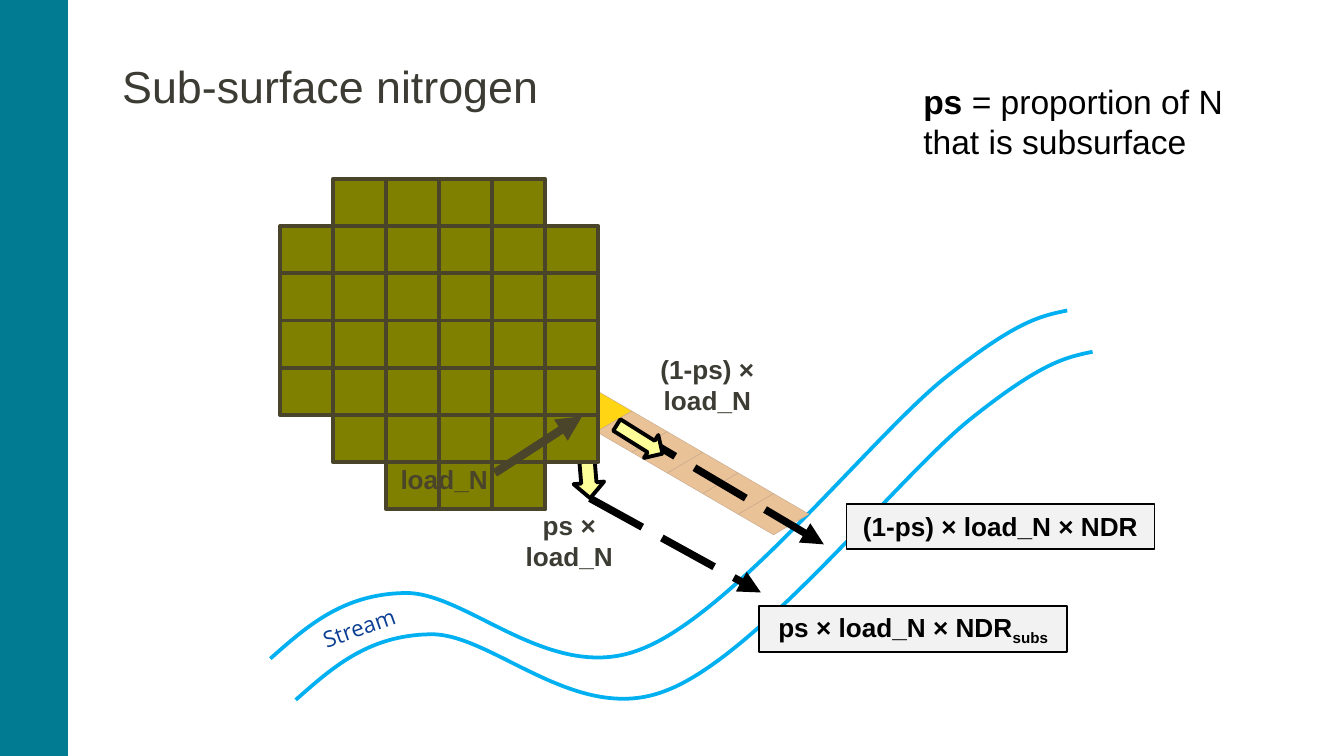
from lxml import etree
from pptx import Presentation
from pptx.dml.color import RGBColor
from pptx.enum.dml import MSO_LINE
from pptx.enum.shapes import MSO_CONNECTOR, MSO_SHAPE
from pptx.enum.text import MSO_ANCHOR, PP_ALIGN
from pptx.oxml.ns import qn
from pptx.util import Cm, Pt

RECTANGLE, DIAMOND, RIGHT_ARROW = MSO_SHAPE.RECTANGLE, MSO_SHAPE.DIAMOND, MSO_SHAPE.RIGHT_ARROW
STRAIGHT = MSO_CONNECTOR.STRAIGHT
LONG_DASH = MSO_LINE.LONG_DASH
LEFT, CENTER = PP_ALIGN.LEFT, PP_ALIGN.CENTER
TOP, MIDDLE, BOTTOM = MSO_ANCHOR.TOP, MSO_ANCHOR.MIDDLE, MSO_ANCHOR.BOTTOM

TEAL = RGBColor(0x00, 0x7B, 0x91)
CHARCOAL = RGBColor(0x3C, 0x3C, 0x34)
BLACK = RGBColor(0x00, 0x00, 0x00)
OLIVE = RGBColor(0x80, 0x80, 0x00)
BROWN = RGBColor(0x4A, 0x45, 0x2A)
TAN = RGBColor(0xEA, 0xC2, 0x98)
TAN_EDGE = RGBColor(0xC8, 0xAA, 0x8C)
GOLD = RGBColor(0xFF, 0xD5, 0x14)
PALE_YELLOW = RGBColor(0xFF, 0xFF, 0x99)
PALE_GRAY = RGBColor(0xF2, 0xF2, 0xF2)
SKY_BLUE = RGBColor(0x00, 0xB0, 0xF0)
NAVY = RGBColor(0x0B, 0x3F, 0x93)

FIELD_ROWS = [(1, 4), (0, 6), (0, 6), (0, 6), (0, 6), (1, 5), (2, 3)]
BANK_CURVE = [
    (0.69, -0.61), (1.37, -1.22), (2.54, -1.24),
    (3.71, -1.27), (5.31, 0.51), (7.01, -0.18),
    (8.74, -0.84), (11.43, -4.27), (12.78, -5.33),
    (14.12, -6.4), (14.58, -6.48), (15.06, -6.58),
]


def add_block(slide, kind, box, fill, edge, weight, rotation=0):
    """Add a filled preset shape in a box given in centimetres."""
    shape = slide.shapes.add_shape(kind, *map(Cm, box))
    shape.shadow.inherit = False
    shape.fill.solid()
    shape.fill.fore_color.rgb = fill
    shape.line.color.rgb = edge
    shape.line.width = Pt(weight)
    shape.rotation = rotation
    return shape


def write_text(shape, runs, size, color, font="Arial", align=CENTER, anchor=TOP, wrap=True):
    """Write one paragraph of (text, bold, baseline) runs into a shape."""
    frame = shape.text_frame
    frame.word_wrap = wrap
    frame.vertical_anchor = anchor
    paragraph = frame.paragraphs[0]
    paragraph.alignment = align
    paragraph.font.name = font
    paragraph.font.size = Pt(size)
    paragraph.font.color.rgb = color
    for text, bold, baseline in runs:
        run = paragraph.add_run()
        run.text = text
        run.font.bold = bold
        if baseline:
            run.font._element.set("baseline", str(baseline))
    return paragraph


def add_label(slide, box, runs, size, color, **options):
    """Add a text box in a box given in centimetres."""
    label = slide.shapes.add_textbox(*map(Cm, box))
    write_text(label, runs, size, color, **options)
    return label


def add_arrow(slide, start, end, color, weight, dash=None):
    """Add a straight arrow between two points in centimetres."""
    arrow = slide.shapes.add_connector(STRAIGHT, *map(Cm, start + end))
    arrow.line.color.rgb = color
    arrow.line.width = Pt(weight)
    if dash:
        arrow.line.dash_style = dash
    outline = arrow.line._get_or_add_ln()
    etree.SubElement(outline, qn("a:tailEnd"), type="triangle")
    etree.SubElement(arrow._element.spPr, qn("a:effectLst"))


def add_title(slide, box, text):
    """Place and format the title placeholder."""
    title = slide.shapes.title
    title.left, title.top, title.width, title.height = map(Cm, box)
    title.text_frame.margin_left = 0
    paragraph = write_text(title, [(text, False, 0)], 24, CHARCOAL, align=LEFT, anchor=BOTTOM)
    paragraph.line_spacing = 0.85


def add_bank(slide, start):
    """Draw one curved stream bank from its lower left end."""
    left, top = start
    points = [(Cm(left + x), Cm(top + y)) for x, y in BANK_CURVE]
    builder = slide.shapes.build_freeform(Cm(left), Cm(top))
    builder.add_line_segments(points, close=False)
    bank = builder.convert_to_shape()
    bank.shadow.inherit = False
    bank.fill.background()
    bank.line.color.rgb = SKY_BLUE
    bank.line.width = Pt(2)
    segments = list(bank._element.iter(qn("a:lnTo")))
    outline = segments[0].getparent()
    for index in range(0, len(segments), 3):
        curve = etree.SubElement(outline, qn("a:cubicBezTo"))
        for segment in segments[index:index + 3]:
            curve.append(segment[0])
            outline.remove(segment)


def add_stream(slide, box):
    """Draw both banks and the stream name."""
    left, top, width, height = box
    add_bank(slide, (left + 0.48, top + height))
    add_bank(slide, (left, top + height - 0.78))
    name = add_label(slide, (left + 0.71, top + height - 1.75, 1.93, 0.76),
                     [("Stream", False, 0)], 12, NAVY, font="Open Sans", wrap=False)
    name.rotation = 340.7


def add_flow_path(slide, box):
    """Draw the downhill row of cells, with the source cell on top."""
    left, top, width, height = box
    step_x, step_y = width / 7, height / 7
    for index in reversed(range(6)):
        cell = (left + index * step_x, top + index * step_y, 2 * step_x, 2 * step_y)
        add_block(slide, DIAMOND, cell, TAN if index else GOLD, TAN_EDGE, 0.25)


def add_field(slide, box):
    """Draw the field as rows of equal cells."""
    left, top, width, height = box
    cell_width, cell_height = width / 6, height / len(FIELD_ROWS)
    for row, (first, count) in enumerate(FIELD_ROWS):
        for column in range(first, first + count):
            cell = (left + column * cell_width, top + row * cell_height, cell_width, cell_height)
            add_block(slide, RECTANGLE, cell, OLIVE, BROWN, 2.08)


def add_export(slide, box, runs):
    """Add a framed formula for the load that reaches the stream."""
    frame = add_block(slide, RECTANGLE, box, PALE_GRAY, BLACK, 1)
    write_text(frame, runs, 14, BLACK, anchor=MIDDLE)


def build_slide(presentation):
    """Compose the sub-surface nitrogen slide."""
    slide = presentation.slides.add_slide(presentation.slide_layouts[5])
    add_block(slide, RECTANGLE, (0, 0, 1.27, 14.29), TEAL, TEAL, 0.75)
    add_stream(slide, (5.11, 5.87, 15.54, 7.36))
    add_title(slide, (2.31, 0.91, 21.89, 1.35), "Sub-surface nitrogen")
    add_block(slide, RIGHT_ARROW, (10.34, 8.38, 1.5, 0.58), PALE_YELLOW, BLACK, 2.08, 85.2)
    add_flow_path(slide, (10.6, 7.38, 4.69, 2.73))
    add_field(slide, (5.29, 3.38, 6.02, 6.25))
    add_label(slide, (9.16, 9.5, 3.2, 1.45), [("ps × load_N", True, 0)], 14, CHARCOAL)
    add_arrow(slide, (11.79, 8.05), (15.57, 10.29), BLACK, 4, LONG_DASH)
    add_export(slide, (16, 9.52, 5.82, 0.86), [("(1-ps) × load_N × NDR", True, 0)])
    add_export(slide, (14.35, 11.46, 5.82, 0.86),
               [("ps × load_N × NDR", True, 0), ("subs", True, -25000)])
    add_arrow(slide, (9.35, 8.94), (11, 7.87), BROWN, 4.5)
    add_label(slide, (7.06, 8.64, 2.67, 0.86), [("load_N", True, 0)], 14, BROWN)
    add_arrow(slide, (11.15, 9.42), (14.38, 11.2), BLACK, 4, LONG_DASH)
    add_block(slide, RIGHT_ARROW, (11.58, 8.05, 1.02, 0.51), PALE_YELLOW, BLACK, 2.08, 32.1)
    add_label(slide, (11.77, 6.55, 3.2, 1.45), [("(1-ps) × load_N", True, 0)], 14, CHARCOAL)
    add_label(slide, (17.2, 1.4, 6.45, 1.8),
              [("ps", True, 0), (" = proportion of N that is subsurface", False, 0)],
              18, BLACK, align=LEFT)


def main():
    """Build and save the presentation."""
    presentation = Presentation()
    presentation.slide_width, presentation.slide_height = Cm(25.4), Cm(14.29)
    build_slide(presentation)
    presentation.save("out.pptx")


if __name__ == "__main__":
    main()
